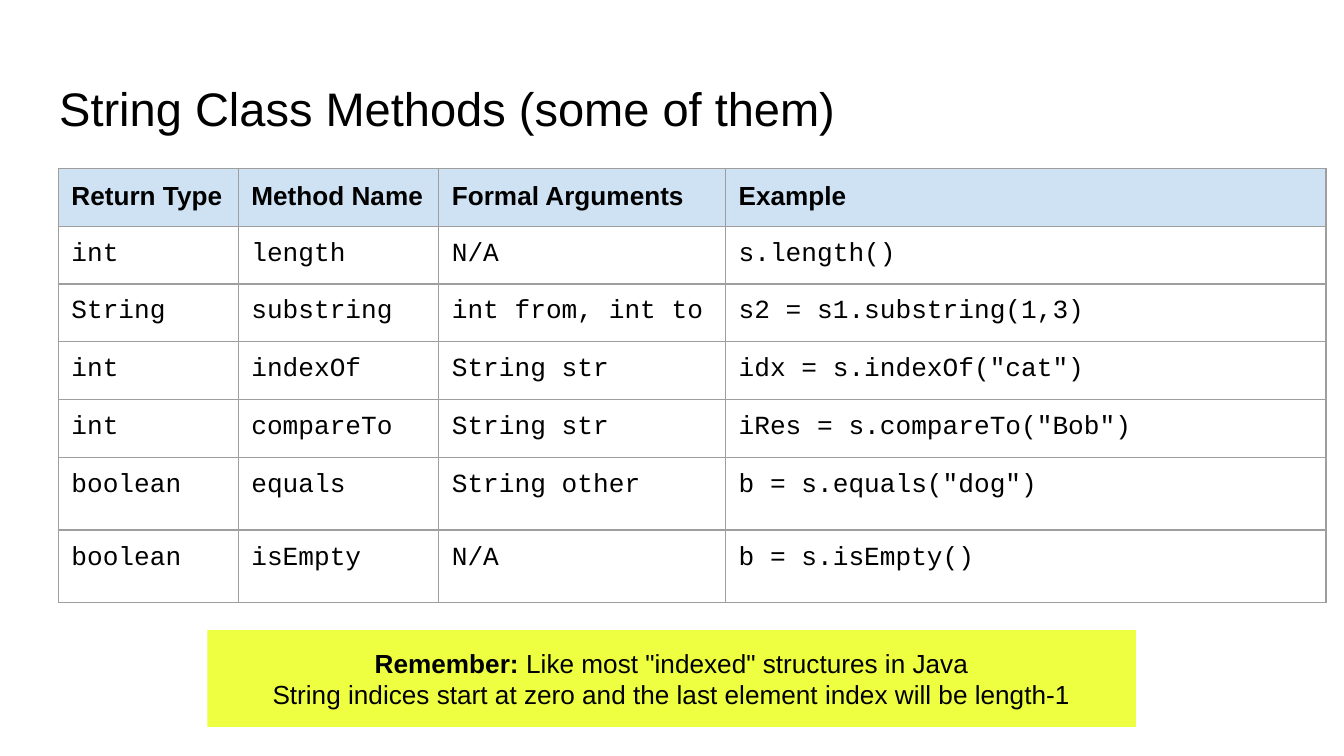
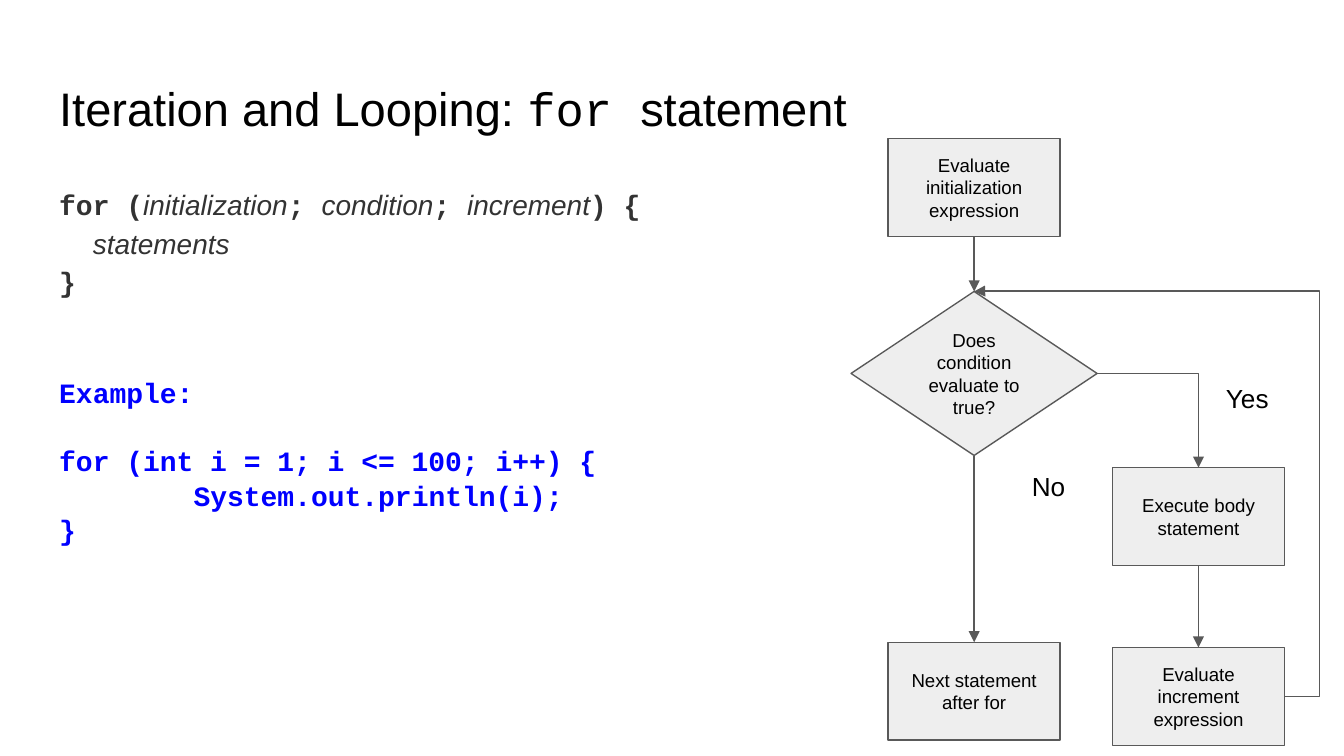
"""Build two Java lesson slides: String methods and the for statement."""
from dataclasses import dataclass

from lxml import etree
from pptx import Presentation
from pptx.dml.color import RGBColor
from pptx.enum.shapes import MSO_CONNECTOR, MSO_SHAPE
from pptx.enum.text import MSO_ANCHOR, PP_ALIGN
from pptx.oxml.ns import qn
from pptx.util import Cm, Pt

RECT, DECISION = MSO_SHAPE.RECTANGLE, MSO_SHAPE.FLOWCHART_DECISION
STRAIGHT, ELBOW = MSO_CONNECTOR.STRAIGHT, MSO_CONNECTOR.ELBOW
LEFT, CENTER = PP_ALIGN.LEFT, PP_ALIGN.CENTER
TOP, MIDDLE = MSO_ANCHOR.TOP, MSO_ANCHOR.MIDDLE
TOP_SIDE, BOTTOM_SIDE, RIGHT_SIDE = 0, 2, 3


@dataclass(frozen=True)
class Theme:
    sans: str = "Arial"
    mono: str = "Courier New"
    ink: str = "000000"
    syntax: str = "333333"
    example: str = "0000FF"
    header: str = "CFE2F3"
    border: str = "9E9E9E"
    note: str = "EEFF41"
    node: str = "EEEEEE"
    line: str = "595959"
    title_size: float = 25.2
    code_size: float = 15
    text_size: float = 14
    node_size: float = 10
    line_width: float = 0.75
    inset: float = 0.25


T = Theme()


def write(tf, paragraphs, size, color=T.ink, align=LEFT, anchor=TOP):
    tf.word_wrap = True
    tf.vertical_anchor = anchor
    tf.margin_left = tf.margin_right = Cm(T.inset)
    tf.margin_top = tf.margin_bottom = Cm(T.inset)
    for i, runs in enumerate(paragraphs):
        p = tf.add_paragraph() if i else tf.paragraphs[0]
        p.alignment = align
        for text, style in runs:
            r = p.add_run()
            r.text = text
            r.font.name = T.mono if "m" in style else T.sans
            r.font.size = Pt(size)
            r.font.bold = "b" in style
            r.font.italic = "i" in style
            r.font.color.rgb = RGBColor.from_string(color)


def add_box(s, kind, x, y, w, h, fill, line=None):
    sp = s.shapes.add_shape(kind, Cm(x), Cm(y), Cm(w), Cm(h))
    sp.shadow.inherit = False
    sp.fill.solid()
    sp.fill.fore_color.rgb = RGBColor.from_string(fill)
    if line:
        sp.line.color.rgb = RGBColor.from_string(line)
        sp.line.width = Pt(T.line_width)
    else:
        sp.line.fill.background()
    return sp


prs = Presentation()
prs.slide_width, prs.slide_height = Cm(25.4), Cm(14.29)

titles = [
    [("String Class Methods (some of them)", "")],
    [("Iteration and Looping: ", ""), ("for ", "m"), ("statement", "")],
]
slides = []
for title in titles:
    s = prs.slides.add_slide(prs.slide_layouts[6])
    sp = s.shapes.add_textbox(Cm(0.87), Cm(1.24), Cm(23.67), Cm(1.6))
    write(sp.text_frame, [title], T.title_size, anchor=MIDDLE)
    slides.append(s)
methods_slide, loop_slide = slides

rows = [
    ("Return Type", "Method Name", "Formal Arguments", "Example"),
    ("int", "length", "N/A", "s.length()"),
    ("String", "substring", "int from, int to", "s2 = s1.substring(1,3)"),
    ("int", "indexOf", "String str", 'idx = s.indexOf("cat")'),
    ("int", "compareTo", "String str", 'iRes = s.compareTo("Bob")'),
    ("boolean", "equals", "String other", 'b = s.equals("dog")'),
    ("boolean", "isEmpty", "N/A", "b = s.isEmpty()"),
]
col_widths = [3.4, 3.79, 5.42, 11.35]
row_heights = [0.97] * 5 + [1.37] * 2
frame = methods_slide.shapes.add_table(
    len(rows), len(col_widths), Cm(1.1), Cm(3.18), Cm(sum(col_widths)), Cm(sum(row_heights)))
table = frame.table
table.horz_banding = False
for col, width in zip(table.columns, col_widths):
    col.width = Cm(width)
for i, (row, height) in enumerate(zip(rows, row_heights)):
    table.rows[i].height = Cm(height)
    for j, text in enumerate(row):
        cell = table.cell(i, j)
        write(cell.text_frame, [[(text, "m" if i else "b")]], T.text_size)
        cell.margin_left = cell.margin_right = Cm(T.inset)
        cell.margin_top = cell.margin_bottom = Cm(T.inset)
        tc_pr = cell._tc.get_or_add_tcPr()
        for side in ("a:lnL", "a:lnR", "a:lnT", "a:lnB"):
            ln = etree.SubElement(tc_pr, qn(side), w=str(Pt(T.line_width)))
            fill = etree.SubElement(ln, qn("a:solidFill"))
            etree.SubElement(fill, qn("a:srgbClr"), val=T.border)
        if i:
            cell.fill.background()
        else:
            cell.fill.solid()
            cell.fill.fore_color.rgb = RGBColor.from_string(T.header)

note = add_box(methods_slide, RECT, 3.92, 11.91, 17.55, 1.83, T.note)
write(note.text_frame, [
    [("Remember: ", "b"), ('Like most "indexed" structures in Java', "")],
    [("String indices start at zero and the last element index will be length-1", "")],
], T.text_size, align=CENTER, anchor=MIDDLE)

syntax = [
    [("for (", "mb"), ("initialization", "i"), ("; ", "mb"), ("condition", "i"),
     ("; ", "mb"), ("increment", "i"), (") {", "mb")],
    [("  ", "mb"), ("statements", "i")],
    [("}", "mb")],
]
example = ["Example:", "for (int i = 1; i <= 100; i++) {", "\tSystem.out.println(i);", "}"]
example_gaps = [45, 22, 4, 4]
sp = loop_slide.shapes.add_textbox(Cm(0.87), Cm(3.2), Cm(15.29), Cm(10.59))
tf = sp.text_frame
write(tf, syntax + [[(text, "mb")] for text in example], T.code_size, T.syntax)
for p in tf.paragraphs[:len(syntax)]:
    p.line_spacing = 1.15
for p, gap in zip(tf.paragraphs[len(syntax):], example_gaps):
    p.line_spacing = 0.8
    p.space_before = Pt(gap)
    tabs = etree.SubElement(p._p.get_or_add_pPr(), qn("a:tabLst"))
    etree.SubElement(tabs, qn("a:tab"), pos=str(Cm(2.54)), algn="l")
    for r in p.runs:
        r.font.color.rgb = RGBColor.from_string(T.example)

main_x, body_x = 18.41, 22.65
node_w, node_h = 3.25, 1.85
nodes = {}
for name, kind, center_x, y, w, h, text in [
    ("init", RECT, main_x, 2.62, node_w, node_h, "Evaluate initialization expression"),
    ("test", DECISION, main_x, 5.51, 4.65, 3.1, "Does condition evaluate to true?"),
    ("next", RECT, main_x, 12.14, node_w, node_h, "Next statement after for"),
    ("body", RECT, body_x, 8.84, node_w, node_h, "Execute body statement"),
    ("step", RECT, body_x, 12.24, node_w, node_h, "Evaluate increment expression"),
]:
    sp = add_box(loop_slide, kind, center_x - w / 2, y, w, h, T.node, T.line)
    write(sp.text_frame, [[(text, "")]], T.node_size, align=CENTER, anchor=MIDDLE)
    nodes[name] = sp

for text, x, y in [("Yes", 22.92, 6.98), ("No", 19.25, 8.65)]:
    sp = loop_slide.shapes.add_textbox(Cm(x), Cm(y), Cm(1.4), Cm(1.1))
    write(sp.text_frame, [[(text, "")]], T.text_size)

for start, start_side, end, end_side, kind, preset, adjustments in [
    ("init", BOTTOM_SIDE, "test", TOP_SIDE, STRAIGHT, "line", []),
    ("test", BOTTOM_SIDE, "next", TOP_SIDE, STRAIGHT, "line", []),
    ("body", BOTTOM_SIDE, "step", TOP_SIDE, STRAIGHT, "line", []),
    ("test", RIGHT_SIDE, "body", TOP_SIDE, ELBOW, "bentConnector2", []),
    ("step", RIGHT_SIDE, "test", TOP_SIDE, ELBOW, "bentConnector4", [-11300, 100100]),
]:
    cxn = loop_slide.shapes.add_connector(kind, 0, 0, 0, 0)
    cxn.begin_connect(nodes[start], start_side)
    cxn.end_connect(nodes[end], end_side)
    cxn.line.color.rgb = RGBColor.from_string(T.line)
    cxn.line.width = Pt(T.line_width)
    sp_pr = cxn._element.spPr
    geom = sp_pr.find(qn("a:prstGeom"))
    geom.set("prst", preset)
    for i, value in enumerate(adjustments, 1):
        etree.SubElement(geom.find(qn("a:avLst")), qn("a:gd"), name=f"adj{i}", fmla=f"val {value}")
    etree.SubElement(sp_pr.find(qn("a:ln")), qn("a:tailEnd"), type="triangle")
    etree.SubElement(sp_pr, qn("a:effectLst"))

prs.save("out.pptx")
